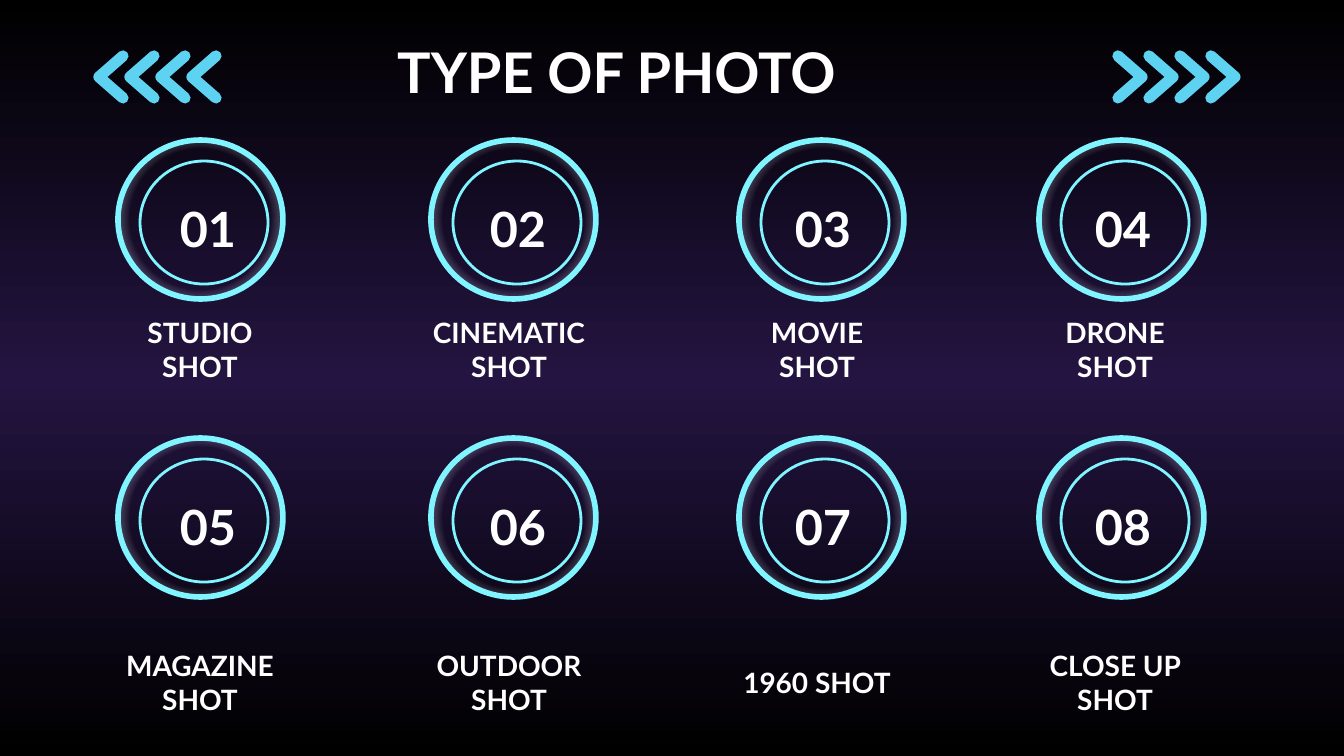
import lxml.etree
import pptx
import pptx.dml.color
import pptx.enum.text
import pptx.enum.shapes
import pptx.oxml
import pptx.oxml.ns
import pptx.util
from dataclasses import dataclass

PX = 914400 / 134.4
qn = pptx.oxml.ns.qn
MSO_ANCHOR = pptx.enum.text.MSO_ANCHOR
PP_ALIGN = pptx.enum.text.PP_ALIGN


def emu(px):
    return pptx.util.Emu(round(px * PX))


def rgb(value):
    return pptx.dml.color.RGBColor.from_string(value)


@dataclass(frozen=True)
class Theme:
    font: str = "Lato"
    text: str = "FFFFFF"
    ring: str = "81F5FF"
    accent: str = "5ED2F1"
    backdrop: tuple = ((0, "000000", 100), (50, "241441", 100), (100, "000000", 100))
    glow: tuple = ((0, "FFFFFF", 0), (61, "FFFFFF", 0), (100, "5ED2F1", 100))
    title_size: int = 30
    number_size: int = 26
    caption_size: int = 15


class Deck:
    def __init__(self, theme):
        self.theme = theme
        self.prs = pptx.Presentation()
        self.prs.slide_width = emu(1344)
        self.prs.slide_height = emu(756)
        self.s = self.prs.slides.add_slide(self.prs.slide_layouts[6])

    def gradient(self, fill, element, stops, direction):
        fill.gradient()
        grad = element.find(".//" + qn("a:gradFill"))
        for child in list(grad):
            grad.remove(child)
        gs_list = lxml.etree.SubElement(grad, qn("a:gsLst"))
        for position, color, alpha in stops:
            gs = lxml.etree.SubElement(gs_list, qn("a:gs"), pos=str(position * 1000))
            clr = lxml.etree.SubElement(gs, qn("a:srgbClr"), val=color)
            if alpha < 100:
                lxml.etree.SubElement(clr, qn("a:alpha"), val=str(alpha * 1000))
        if direction == "circle":
            way = lxml.etree.SubElement(grad, qn("a:path"), path="circle")
            sides = dict.fromkeys("ltrb", "50000")
            lxml.etree.SubElement(way, qn("a:fillToRect"), **sides)
        else:
            lxml.etree.SubElement(grad, qn("a:lin"), ang=str(direction * 60000), scaled="0")

    def background(self):
        self.gradient(self.s.background.fill, self.s._element, self.theme.backdrop, 90)

    def circle(self, x, y, w, h, weight, glow=False):
        sp = self.s.shapes.add_shape(
            pptx.enum.shapes.MSO_SHAPE.OVAL, emu(x), emu(y), emu(w), emu(h))
        sp.shadow.inherit = False
        if glow:
            self.gradient(sp.fill, sp._element, self.theme.glow, "circle")
        else:
            sp.fill.background()
        sp.line.color.rgb = rgb(self.theme.ring)
        sp.line.width = pptx.util.Pt(weight)

    def text(self, x, y, w, h, content, size, align=PP_ALIGN.CENTER, anchor=MSO_ANCHOR.MIDDLE):
        tf = self.s.shapes.add_textbox(emu(x), emu(y), emu(w), emu(h)).text_frame
        tf.word_wrap = True
        tf.vertical_anchor = anchor
        tf.margin_left = tf.margin_right = pptx.util.Inches(0.1)
        tf.margin_top = tf.margin_bottom = pptx.util.Inches(0.1)
        p = tf.paragraphs[0]
        p.text = content
        p.alignment = align
        p.font.name = self.theme.font
        p.font.size = pptx.util.Pt(size)
        p.font.bold = True
        p.font.color.rgb = rgb(self.theme.text)

    def chevrons(self, first_tip, depth):
        group = self.s.shapes.add_group_shape()
        for i in range(4):
            tip = first_tip + i * 31
            builder = group.shapes.build_freeform(tip - depth, 98, scale=PX)
            builder.add_line_segments([(tip, 77), (tip - depth, 56)], close=False)
            sp = builder.convert_to_shape()
            sp.shadow.inherit = False
            sp.fill.background()
            sp.line.color.rgb = rgb(self.theme.accent)
            sp.line.width = pptx.util.Pt(6)
            ln = sp.line._get_or_add_ln()
            ln.set("cap", "rnd")
            lxml.etree.SubElement(ln, qn("a:round"))


def main():
    theme = Theme()
    deck = Deck(theme)
    deck.background()
    deck.text(384, 24, 607, 77, "TYPE OF PHOTO", theme.title_size,
              PP_ALIGN.LEFT, MSO_ANCHOR.TOP)
    deck.chevrons(99, -24)
    deck.chevrons(1142, 24)

    columns = [(118, 152, 106), (431, 462, 415), (739, 767, 723), (1039, 1067, 1021)]
    rows = [
        (140, 313, ["STUDIO SHOT", "CINEMATIC SHOT", "MOVIE SHOT", "DRONE SHOT"]),
        (438, 646, ["MAGAZINE SHOT", "OUTDOOR SHOT", "1960 SHOT", "CLOSE UP SHOT"]),
    ]
    number = 0
    for ring_y, caption_y, captions in rows:
        for (ring_x, number_x, caption_x), caption in zip(columns, captions):
            number += 1
            deck.circle(ring_x + 22, ring_y + 21, 128, 123, 1.5)
            deck.circle(ring_x, ring_y, 165, 159, 3, glow=True)
            deck.text(number_x, ring_y + 56, 112, 65, f"{number:02}", theme.number_size)
            deck.text(caption_x, caption_y, 188, 73, caption, theme.caption_size)

    deck.prs.save("out.pptx")


if __name__ == "__main__":
    main()
